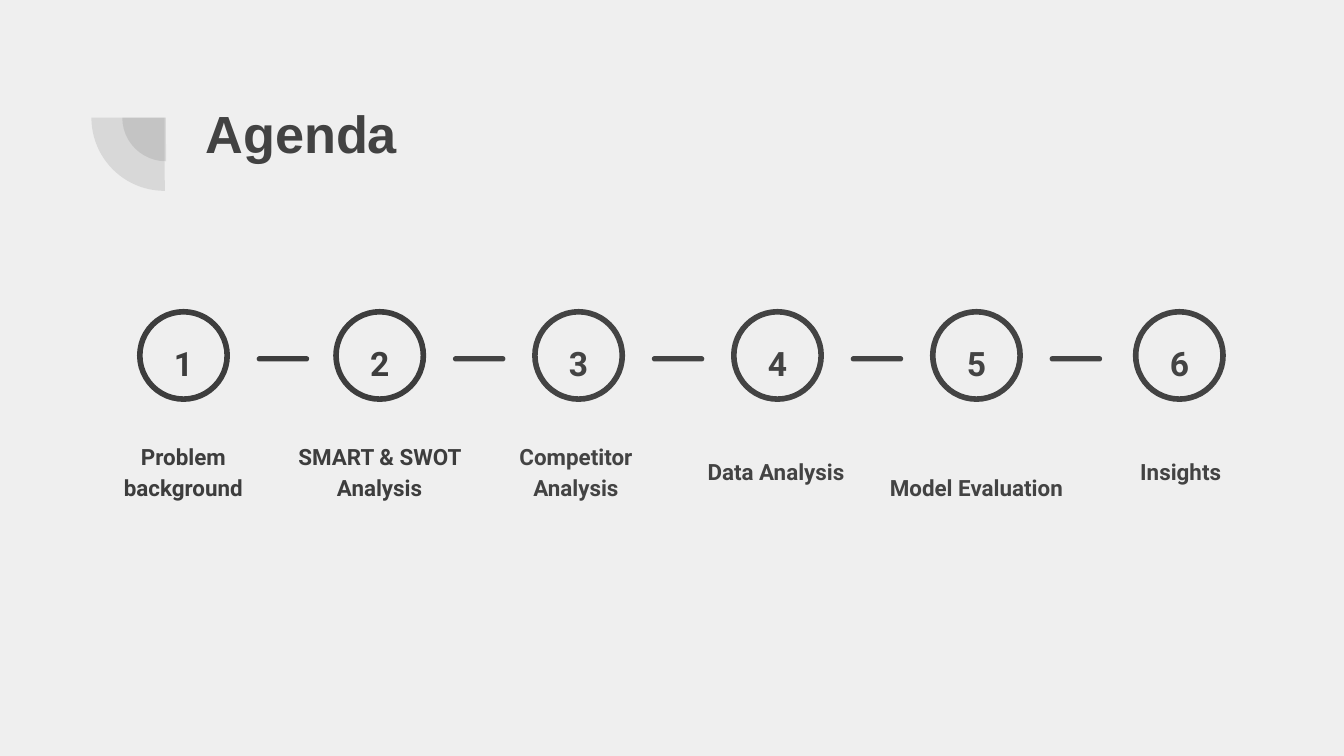
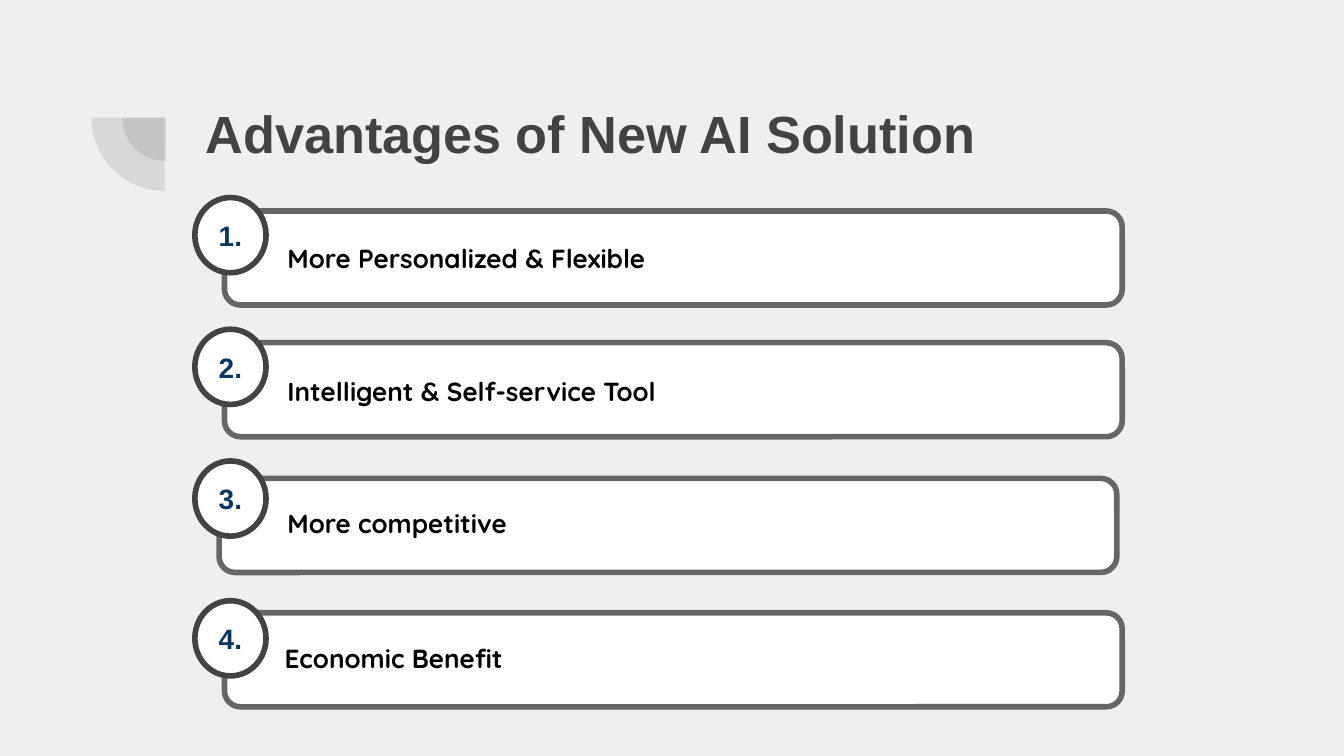
from lxml.etree import SubElement
from pptx import Presentation
from pptx.dml.color import RGBColor
from pptx.enum.shapes import MSO_SHAPE
from pptx.enum.text import MSO_ANCHOR, MSO_AUTO_SIZE, PP_ALIGN
from pptx.oxml.ns import qn
from pptx.util import Inches, Pt

CELL = Inches(0.1)  # the slide is a grid of 100 columns by 56.25 rows
COLS, ROWS = 100, 56.25

PAPER, WHITE, BLACK = "EFEFEF", "FFFFFF", "000000"
TITLE, DARK, GREY, FRAME, NAVY = "424242", "3D3D3D", "434343", "666666", "073763"

# caption, colour, circle column, caption column, caption width
STEPS = [
    ("Problem background", DARK, 10.4, 6.5, 14.3),
    ("SMART & SWOT Analysis", DARK, 25, 21.1, 14.3),
    ("Competitor Analysis", GREY, 39.8, 35.4, 14.9),
    ("Data Analysis", GREY, 54.6, 50.6, 14.3),
    ("Model Evaluation", GREY, 69.4, 65.2, 14.9),
    ("Insights", GREY, 84.5, 80.4, 14.9),
]
ONE_LINE = ("Data Analysis", "Insights")
CIRCLE = 6.5

# text, (card column, row), badge row, (text column, row)
ADVANTAGES = [
    ("More Personalized & Flexible", (16.7, 15.7), 14.7, (20.4, 15.7)),
    ("Intelligent & Self-service Tool", (16.7, 25.5), 24.5, (20.4, 25.6)),
    ("More competitive", (16.3, 35.6), 34.3, (20.4, 35.4)),
    ("Economic Benefit", (16.7, 45.6), 44.7, (20.2, 45.5)),
]


def rgb(color):
    return RGBColor.from_string(color)


def grid(*cells):
    return [round(c * CELL) for c in cells]


def write(shape, text, size, color, font="Arial", align=None,
          anchor=MSO_ANCHOR.TOP, spacing=None, after=None):
    tf = shape.text_frame
    tf.word_wrap = True
    tf.auto_size = MSO_AUTO_SIZE.NONE
    tf.vertical_anchor = anchor
    tf.margin_left = tf.margin_top = tf.margin_right = tf.margin_bottom = CELL
    p = tf.paragraphs[0]
    p.alignment = align
    if spacing:
        p.line_spacing = spacing
    if after:
        p.space_after = Pt(after)
    r = p.add_run()
    r.text = text
    r.font.size, r.font.name, r.font.bold = Pt(size), font, True
    r.font.color.rgb = rgb(color)


def add_text(shapes, box, text, size, color, **style):
    write(shapes.add_textbox(*grid(*box)), text, size, color, **style)


def add_form(shapes, kind, box, fill=None, line=None, adj=()):
    sp = shapes.add_shape(kind, *grid(*box))
    sp.shadow.inherit = False
    if fill:
        sp.fill.solid()
        sp.fill.fore_color.rgb = rgb(fill)
    else:
        sp.fill.background()
    if line:
        sp.line.color.rgb = rgb(line)
        sp.line.width = Pt(3)
    else:
        sp.line.fill.background()
    for i, value in enumerate(adj):
        sp.adjustments[i] = value
    return sp


def style_layout(prs):
    """Give the title-only layout its background and title place."""
    layout = prs.slide_layouts[5]
    layout.background.fill.solid()
    layout.background.fill.fore_color.rgb = rgb(PAPER)
    title = layout.placeholders[0]
    title.left, title.top, title.width, title.height = grid(14.3, 6.5, 76.9, 10.9)
    return layout


def add_corner(layout, s):
    """Draw the two translucent quarter discs and move them to the layout."""
    for box in ((9.1, 5.5, 6.5, 6.5), (6.8, 3.3, 10.9, 10.9)):
        pie = add_form(s.shapes, MSO_SHAPE.PIE, box, TITLE, adj=(107.93, 162))
        pie.rotation = 270
        color = pie.element.spPr.find(qn("a:solidFill"))[0]
        SubElement(color, qn("a:alpha")).set("val", "13000")
        layout.shapes.element.append(pie.element)


def add_slide(prs, layout, title):
    s = prs.slides.add_slide(layout)
    write(s.shapes.title, title, 28, TITLE, align=PP_ALIGN.LEFT)
    return s


def add_step(s, number, caption, color, x, caption_x, caption_w):
    group = s.shapes.add_group_shape().shapes
    centred = dict(font="Roboto", align=PP_ALIGN.CENTER, spacing=1.15)
    add_form(group, MSO_SHAPE.OVAL, (x, 23.2, CIRCLE, CIRCLE), line=color)
    add_text(group, (x + 0.85, 24.1, 4.8, 3.5), str(number), 18, color,
             after=16, **centred)
    y = 32.2 if caption in ONE_LINE else 33.4
    add_text(group, (caption_x, y, caption_w, 4.9), caption, 12, color,
             anchor=MSO_ANCHOR.BOTTOM, **centred)


def add_dash(s, x, color):
    add_form(s.shapes, MSO_SHAPE.ROUNDED_RECTANGLE, (x, 26.5, 3.9, 0.4),
             color, adj=(0.5,))


def add_advantage(s, number, text, card, badge_y, text_at):
    add_form(s.shapes, MSO_SHAPE.ROUNDED_RECTANGLE, (*card, 66.8, 7),
             WHITE, FRAME, adj=(0.17,))
    badge = add_form(s.shapes, MSO_SHAPE.OVAL, (14.5, badge_y, 5.3, 5.6),
                     WHITE, GREY)
    write(badge, f"{number}.", 15, NAVY, align=PP_ALIGN.CENTER,
          anchor=MSO_ANCHOR.MIDDLE)
    add_text(s.shapes, (*text_at, 59, 7), text, 14, BLACK, font="Quicksand",
             anchor=MSO_ANCHOR.MIDDLE)


def main():
    prs = Presentation()
    prs.slide_width, prs.slide_height = grid(COLS, ROWS)
    layout = style_layout(prs)

    s = add_slide(prs, layout, "Agenda")
    add_corner(layout, s)
    for number, step in enumerate(STEPS, 1):
        add_step(s, number, *step)
    for i, (_, _, x, _, _) in enumerate(STEPS[:-1]):
        add_dash(s, x + 8.7, GREY if i else DARK)

    s = add_slide(prs, layout, "Advantages of New AI Solution")
    for number, advantage in enumerate(ADVANTAGES, 1):
        add_advantage(s, number, *advantage)

    prs.save("out.pptx")


if __name__ == "__main__":
    main()
